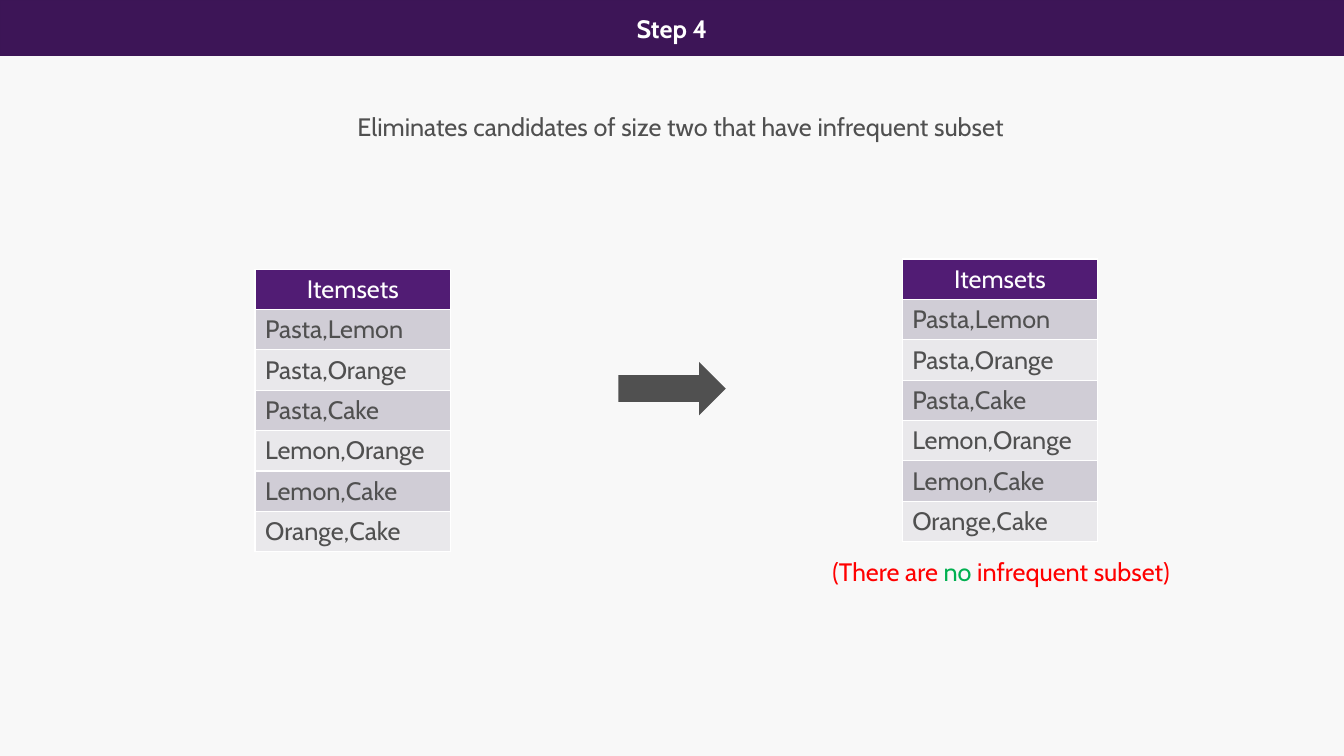
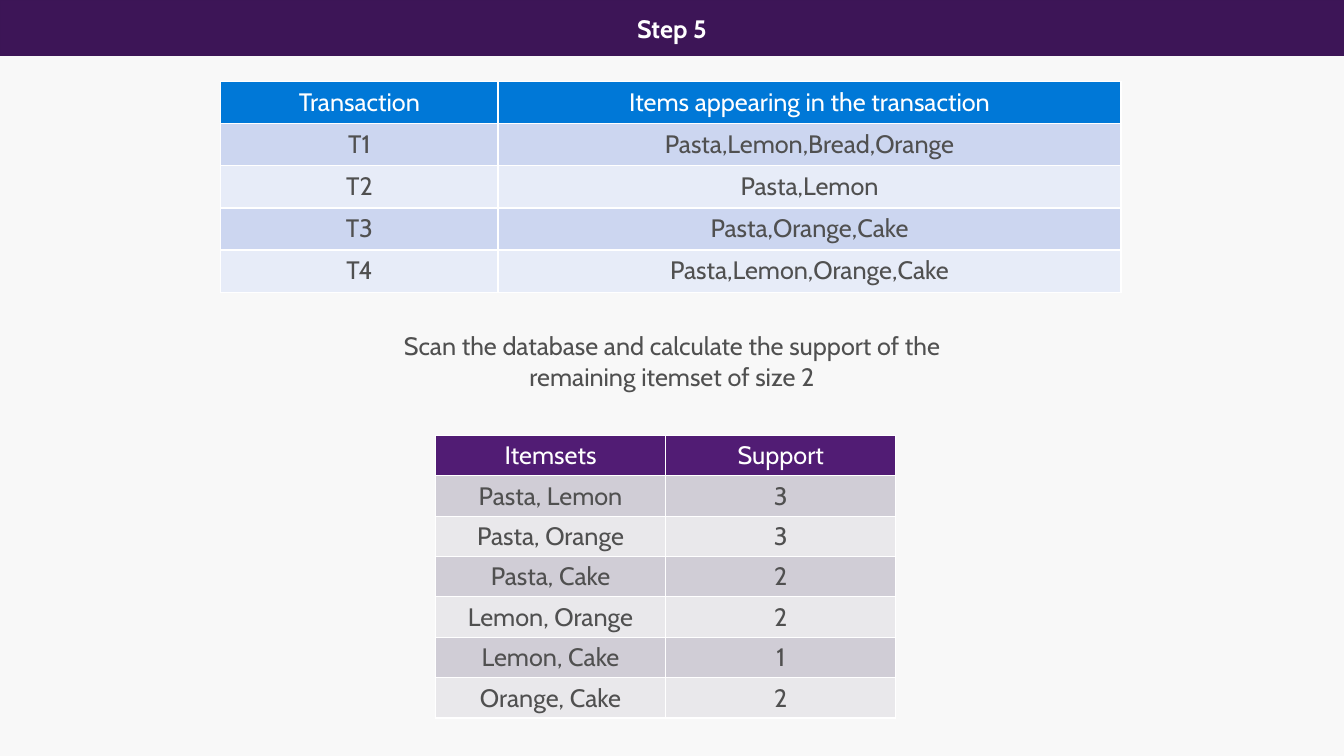
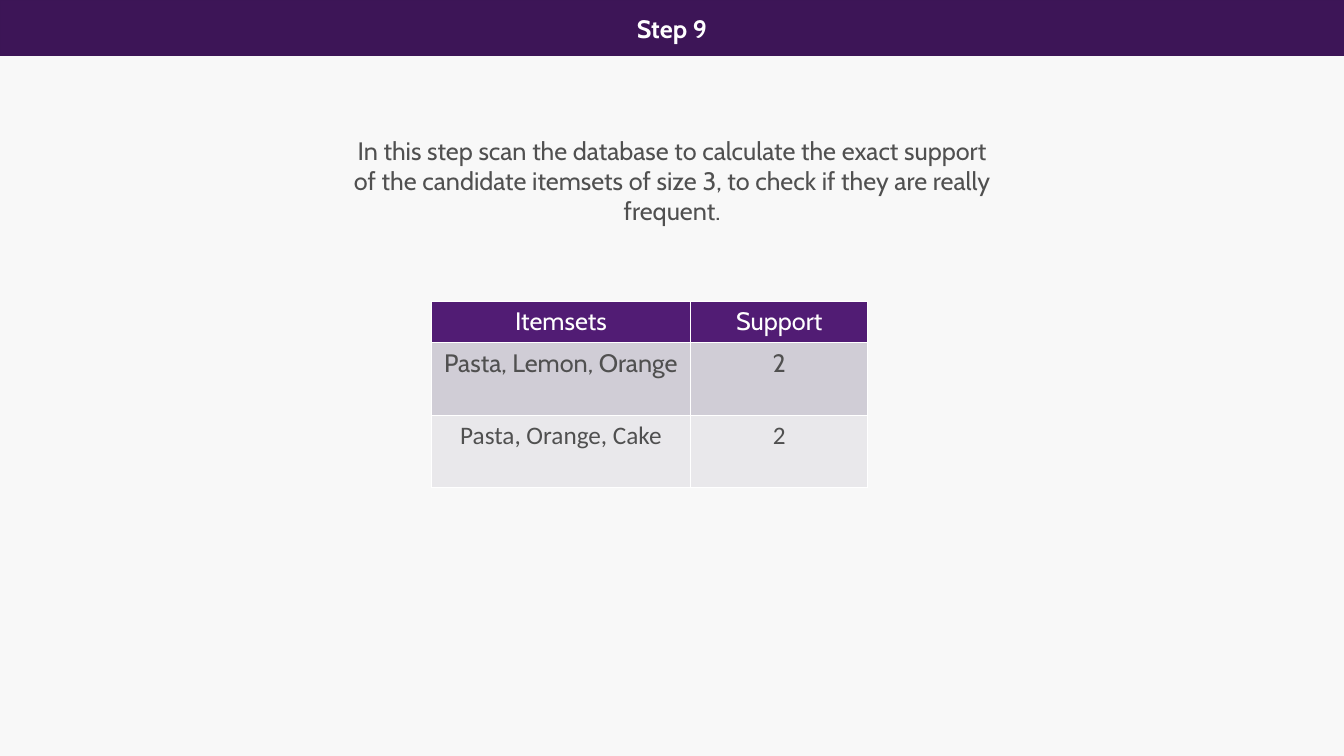
from pptx import Presentation
from pptx import util as u
from pptx.dml.color import RGBColor
from pptx.enum import shapes, text
from pptx.oxml import xmlchemy

COLOURS = {
    "page": "F8F8F8", "band": "3D1557", "band_edge": "3C1556",
    "ink": "505050", "white": "FFFFFF", "red": "FF0000", "green": "00B050",
}
# Table themes: header row, odd rows, even rows
THEMES = {
    "purple": ("511C74", "D0CDD6", "E9E8EB"),
    "blue": ("0078D7", "CCD6F0", "E7ECF8"),
}
FONT = "Cabin"
SIZE = u.Pt(18)
CENTER, LEFT = text.PP_ALIGN.CENTER, text.PP_ALIGN.LEFT

# The slide is a grid of 100 columns by 100 rows
WIDTH, HEIGHT = u.Inches(13.33), u.Inches(7.5)
ROW = 5.33      # height of a table row that holds one line
LINE = 4        # height of one line of prose
TITLE_WIDTH = 22.5

PAIRS = ["Pasta,Lemon", "Pasta,Orange", "Pasta,Cake",
         "Lemon,Orange", "Lemon,Cake", "Orange,Cake"]


def cols(n):
    return round(WIDTH * n / 100)


def rows(n):
    return round(HEIGHT * n / 100)


def grid(left, top, width, height):
    return cols(left), rows(top), cols(width), rows(height)


def rgb(name):
    return RGBColor.from_string(COLOURS.get(name, name))


def place(part, box):
    part.left, part.top, part.width, part.height = grid(*box)


def write(frame, runs, align=CENTER, bold=False, font=FONT):
    """Fill the first paragraph with (words, colour) runs."""
    paragraph = frame.paragraphs[0]
    paragraph.alignment = align
    for words, colour in runs:
        run = paragraph.add_run()
        run.text = words
        run.font.name, run.font.size, run.font.bold = font, SIZE, bold
        run.font.color.rgb = rgb(colour)
    return paragraph


def fit(frame):
    frame.word_wrap = True
    frame.vertical_anchor = text.MSO_ANCHOR.TOP
    frame.auto_size = text.MSO_AUTO_SIZE.SHAPE_TO_FIT_TEXT


def add_flat(slide, preset, box, fill):
    shape = slide.shapes.add_shape(preset, *grid(*box))
    shape.shadow.inherit = False
    shape.fill.solid()
    shape.fill.fore_color.rgb = rgb(fill)
    shape.line.fill.background()
    return shape


def add_step(prs, title, prose, prose_box):
    """Slide with the top band, its title and the explaining prose."""
    slide = prs.slides.add_slide(prs.slide_layouts[1])

    # Band, sent behind the placeholders
    band = add_flat(slide, shapes.MSO_SHAPE.RECTANGLE, (0, 0, 100, 7.33), "band")
    band.line.color.rgb = rgb("band_edge")
    band.line.width = u.Pt(0.85)
    slide.shapes.element.insert(2, band.element)

    # Title
    heading = slide.shapes.title
    place(heading, ((100 - TITLE_WIDTH) / 2, 1.07, TITLE_WIDTH, LINE))
    fit(heading.text_frame)
    write(heading.text_frame, [(title, "white")], bold=True)

    # Prose, without the bullet of the template
    body = slide.placeholders[1]
    place(body, prose_box)
    fit(body.text_frame)
    paragraph = write(body.text_frame, [(prose, "ink")])
    paragraph.space_before = u.Pt(0)
    properties = paragraph._p.get_or_add_pPr()
    properties.set("marL", "0")
    properties.set("indent", "0")
    properties.append(xmlchemy.OxmlElement("a:buNone"))
    return slide


def add_grid_table(slide, left, top, widths, heights, records,
                   theme="purple", align=CENTER, fonts=None):
    """Table with a header; fonts maps a row number to another font."""
    box = grid(left, top, sum(widths), sum(heights))
    table = slide.shapes.add_table(len(records), len(widths), *box).table
    for column, width in zip(table.columns, widths):
        column.width = cols(width)
    header, odd, even = THEMES[theme]
    for r, record in enumerate(records):
        table.rows[r].height = rows(heights[r])
        for c, words in enumerate(record):
            cell = table.cell(r, c)
            cell.fill.solid()
            cell.fill.fore_color.rgb = rgb(header if r == 0 else odd if r % 2 else even)
            write(cell.text_frame, [(words, "ink" if r else "white")],
                  align=align if r else CENTER,
                  font=(fonts or {}).get(r, FONT))


def build_pruning(prs):
    slide = add_step(
        prs, "Step 4",
        "Eliminates candidates of size two that have infrequent subset ",
        (23.93, 14, 53.85, LINE))
    arrow_box = (46, 47.87, 8, 7.07)
    add_flat(slide, shapes.MSO_SHAPE.RIGHT_ARROW, arrow_box, "ink")

    # Remark under the right table
    remark = slide.shapes.add_textbox(*grid(61.2, 72.93, 29.5, ROW)).text_frame
    fit(remark)
    write(remark, [("(There are ", "red"), ("no", "green"),
                   (" infrequent subset)", "red")], align=LEFT)

    # Candidates before and after
    records = [["Itemsets"]] + [[pair] for pair in PAIRS]
    for left, top in ((67.13, 34.27), (18.98, 35.6)):
        add_grid_table(slide, left, top, [14.55], [ROW] * len(records),
                       records, align=LEFT)


def build_pair_support(prs):
    slide = add_step(
        prs, "Step 5",
        "Scan the database and calculate the support of the "
        "remaining itemset of size 2",
        (27.2, 43.07, 45.6, 7.07))

    # Support of each pair
    records = [("Itemsets", "Support")]
    records += [(pair.replace(",", ", "), count)
                for pair, count in zip(PAIRS, "332212")]
    add_grid_table(slide, 32.4, 57.6, [17.13] * 2, [ROW] * len(records), records)

    # Database
    transactions = [
        ("Transaction", "Items appearing in the transaction"),
        ("T1", "Pasta,Lemon,Bread,Orange"),
        ("T2", "Pasta,Lemon"),
        ("T3", "Pasta,Orange,Cake"),
        ("T4", "Pasta,Lemon,Orange,Cake"),
    ]
    add_grid_table(slide, 16.43, 10.8, [20.63, 46.35],
                   [5.57] * len(transactions), transactions, theme="blue")


def build_triple_support(prs):
    slide = add_step(
        prs, "Step 9",
        "In this step scan the database to calculate the exact support of the "
        "candidate itemsets of size 3, to check if they are really frequent.",
        (24.83, 17.2, 50.35, 7.07))
    records = [("Itemsets", "Support"),
               ("Pasta, Lemon, Orange", "2"),
               ("Pasta, Orange, Cake", "2")]
    add_grid_table(slide, 32.1, 39.87, [19.28, 13.2], [5.47, 9.6, 9.6],
                   records, fonts={2: "Calibri"})


def main():
    prs = Presentation()
    prs.slide_width, prs.slide_height = WIDTH, HEIGHT
    page = prs.slide_master.background.fill
    page.solid()
    page.fore_color.rgb = rgb("page")
    build_pruning(prs)
    build_pair_support(prs)
    build_triple_support(prs)
    prs.save("out.pptx")


if __name__ == "__main__":
    main()
